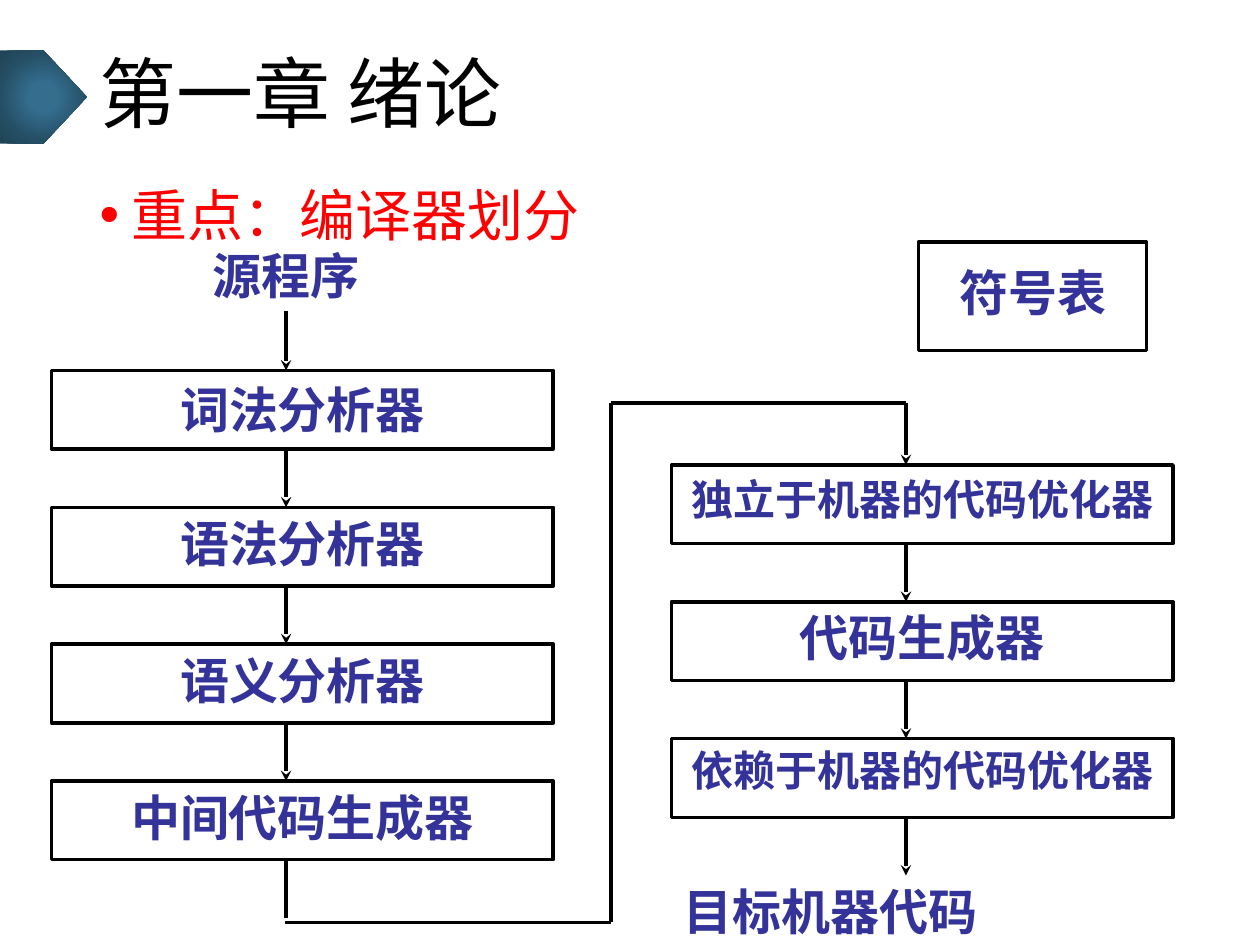
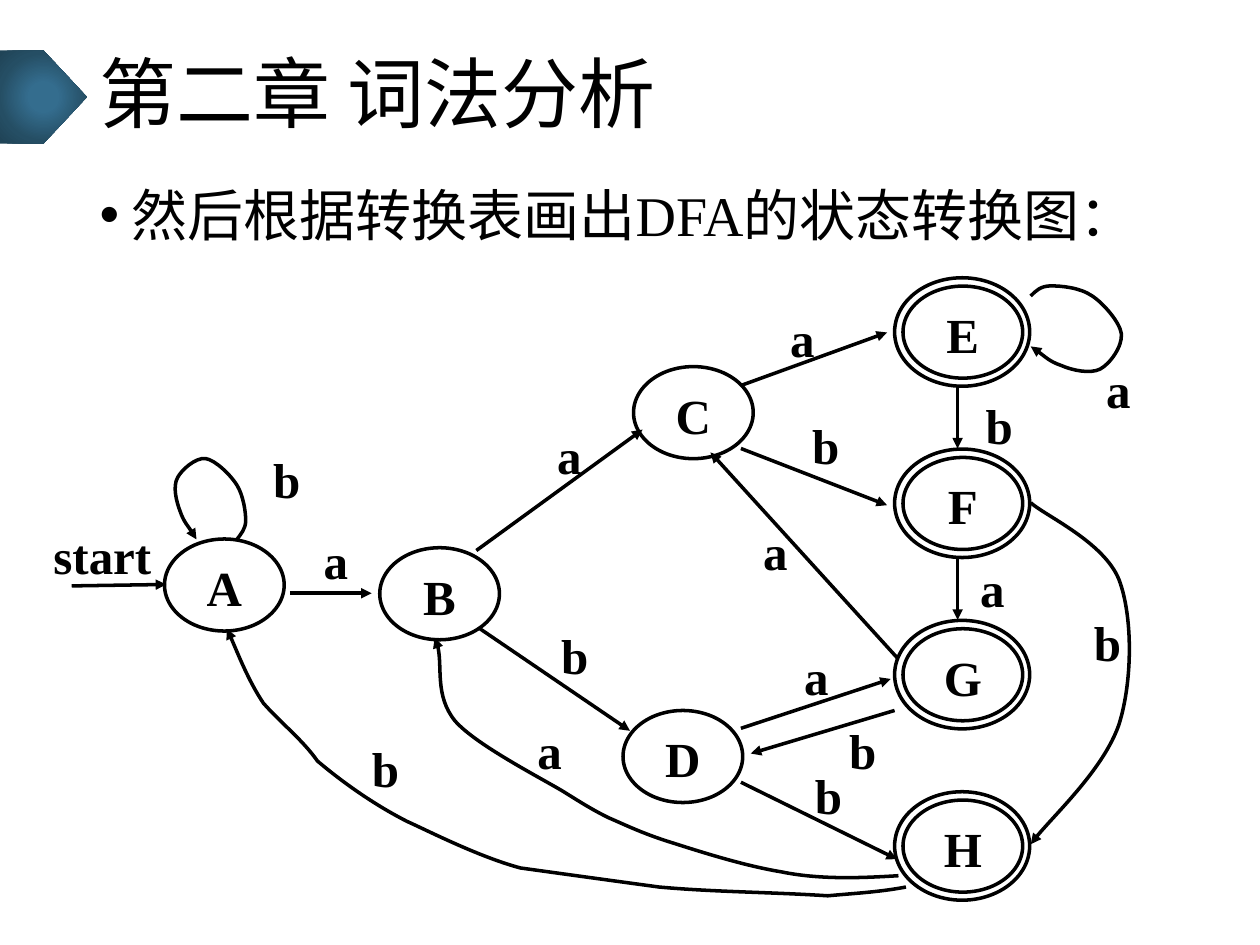
from itertools import pairwise

from lxml.etree import SubElement as Sub
from pptx import Presentation
from pptx.dml.color import RGBColor
from pptx.enum.shapes import MSO_CONNECTOR as Link, MSO_SHAPE as Kind
from pptx.enum.text import MSO_ANCHOR as Anchor, MSO_AUTO_SIZE as Fit, PP_ALIGN as Align
from pptx.oxml.ns import qn
from pptx.util import Pt

INK = {"black": "000000", "red": "FF0000", "navy": "333399",
       "light": "346D8E", "mid": "254E64", "dark": "204457"}
FONT = "Times New Roman"
TITLE = (49.7, 18, 620.6, 75)
BODY = (49.7, 99.4, 620.6, 387)
BAND = (0, 28.8, 49.7, 53.3)


# Shared helpers
def rgb(name):
    return RGBColor.from_string(INK[name])


def place(shape, box):
    shape.left, shape.top, shape.width, shape.height = map(Pt, box)


def style(para, size, color, bold=False, font=FONT):
    for run in para.runs:
        run.font.size, run.font.bold, run.font.name = Pt(size), bold, font
        run.font.color.rgb = rgb(color)


def write(shape, text, size, color, pad=(7.2, 3.6), align=Align.CENTER, font=FONT):
    frame = shape.text_frame
    frame.word_wrap, frame.vertical_anchor = True, Anchor.TOP
    frame.margin_left = frame.margin_right = Pt(pad[0])
    frame.margin_top, frame.margin_bottom = Pt(pad[1]), Pt(3.6)
    frame.text = text
    para = frame.paragraphs[0]
    para.alignment = align
    style(para, size, color, True, font)


def note(slide, box, *text, **opts):
    write(slide.shapes.add_textbox(*map(Pt, box)), *text, **opts)


def ink(shape, head=None):
    shape.line.color.rgb = rgb("black")
    shape.line.width = Pt(2)
    if head:
        Sub(shape.line._get_or_add_ln(), qn("a:tailEnd"), type=head)


def frame(slide, kind, box):
    shape = slide.shapes.add_shape(kind, *map(Pt, box))
    shape.shadow.inherit = False
    shape.fill.background()
    ink(shape)
    return shape


def line(slide, start, end, head=None):
    edge = slide.shapes.add_connector(Link.STRAIGHT, *map(Pt, (*start, *end)))
    ink(edge, head)
    Sub(edge._element.spPr, qn("a:effectLst"))


def curve(slide, points, head):
    """Bezier curve: a start, then two controls and an end for each part."""
    first, *rest = [(Pt(x), Pt(y)) for x, y in points]
    maker = slide.shapes.build_freeform(*first)
    maker.add_line_segments(rest, close=False)
    shape = maker.convert_to_shape()
    shape.shadow.inherit = False
    shape.fill.background()
    ink(shape, head)
    parts = list(shape._element.iter(qn("a:lnTo")))
    track = parts[0].getparent()
    for i in range(0, len(parts), 3):
        bend = Sub(track, qn("a:cubicBezTo"))
        for part in parts[i:i + 3]:
            bend.append(part[0])
            track.remove(part)


# Layout: band, title and body places
def set_up(deck):
    layout = deck.slide_layouts[1]
    place(layout.placeholders[0], TITLE)
    place(layout.placeholders[1], BODY)
    return layout


def band(slide, box):
    """Draw the pentagon and hand it to the layout, behind its text."""
    shape = slide.shapes.add_shape(Kind.PENTAGON, *map(Pt, box))
    shape.shadow.inherit = False
    shape.line.fill.background()
    shape.fill.gradient()
    grad = shape._element.spPr.find(qn("a:gradFill"))
    for child in list(grad):
        grad.remove(child)
    stops = Sub(grad, qn("a:gsLst"))
    for pos, name in ((0, "light"), (23, "light"), (69, "mid"), (97, "dark")):
        stop = Sub(stops, qn("a:gs"), pos=str(pos * 1000))
        Sub(stop, qn("a:srgbClr"), val=INK[name])
    round_ = Sub(grad, qn("a:path"), path="circle")
    Sub(round_, qn("a:fillToRect"), **dict.fromkeys("ltrb", "50000"))
    slide.slide_layout.shapes._spTree.insert(2, shape._element)


def page(deck, layout, title, point, color):
    slide = deck.slides.add_slide(layout)
    head, body = slide.placeholders[0].text_frame, slide.placeholders[1].text_frame
    head.text, body.text = title, point
    head.vertical_anchor = Anchor.MIDDLE
    head.auto_size = body.auto_size = Fit.NONE
    top, item = head.paragraphs[0], body.paragraphs[0]
    top.alignment, top.line_spacing = Align.LEFT, 0.9
    style(top, 44, "black")
    item.space_before = Pt(10)
    props = item._p.get_or_add_pPr()
    props.set("marL", str(Pt(18)))
    props.set("indent", str(Pt(-18)))
    Sub(props, qn("a:buChar"), char="•")
    style(item, 32, color)
    return slide


# Compiler phases
STEP, TALL, STEM = 78.2, 45, 134


def column(slide, box, phases, last):
    """Stack of phases, each with a line below it; last is the final head."""
    x, y, wide = box
    for i, (text, size, pad, font) in enumerate(phases):
        top = y + i * STEP
        shape = frame(slide, Kind.RECTANGLE, (x, top, wide, TALL))
        write(shape, text, size, "navy", (7.2, pad), font=font)
        head = "stealth" if i < len(phases) - 1 else last
        line(slide, (x + STEM, top + TALL), (x + STEM, top + STEP), head)


def phases(slide, box):
    x, y, wide = box
    right, low = x + 354.2, y + 54
    stem, drop = x + STEM, right + STEM
    note(slide, (x + 85, y - 75, 124, 45), "源程序", 28, "navy", align=Align.LEFT)
    line(slide, (stem, y - 34), (stem, y), "stealth")
    column(slide, box, [("词法分析器", 28, 5, FONT), ("语法分析器", 28, 3.6, FONT),
                        ("语义分析器", 28, 3.6, FONT), ("中间代码生成器", 28, 3.6, FONT)], None)
    column(slide, (right, low, wide),
           [("独立于机器的代码优化器", 24, 5, FONT), ("代码生成器", 28, 3.6, FONT),
            ("依赖于机器的代码优化器", 24, 3.6, "Karla")], "stealth")
    note(slide, (right, low + 3 * STEP, wide, 39.6), "目标机器代码", 28, "navy",
         align=Align.LEFT)
    # Route from the left column to the right one
    mid, base, roof = x + 319.7, y + 315.4, low - 35.3
    route = [(stem - 0.7, base), (mid, base), (mid, roof), (drop, roof)]
    for start, end in pairwise(route):
        line(slide, start, end)
    line(slide, (drop, roof), (drop, low), "stealth")
    table = frame(slide, Kind.RECTANGLE, (x + 495.4, y - 73.4, 130.3, 62))
    write(table, "符号表", 28, "navy", (7.2, 11.5))


# State graph: all places are relative to the box of the graph
STATES = {"A": (77, 150), "B": (200, 155), "C": (345, 51.5), "D": (339, 248)}
FINALS = {name: (499, 5.5 + 97.9 * i) for i, name in enumerate("EFGH")}
EDGES = [
    ((24, 176.8), (78, 176)), ((148.6, 181), (195.4, 181)),
    ((255.2, 156.6), (350.2, 87.5)), ((257.3, 201.3), (343, 259.6)),
    ((406.4, 62.3), (489.9, 32)), ((406.4, 258.2), (492, 230)),
    ((406.4, 98.3), (489.9, 130.7)), ((406.4, 289), (495.6, 333)),
    ((530.2, 62.3), (530.2, 98.3)), ((530.2, 160.2), (530.2, 196.2)),
    ((495.6, 217.8), (389, 100.5)), ((494.2, 248), (412, 272.6)),
]
LABELS = [  # text, left, top, width
    ("start", 0, 141.5, 83), ("a", 154.4, 144.4, 41), ("a", 281.8, 84.6, 53),
    ("b", 294, 199, 35), ("a", 415, 17.7, 53), ("a", 423, 210.6, 53),
    ("b", 434.4, 78.9, 41), ("b", 438, 279, 37), ("a", 608, 46.5, 26),
    ("b", 123.4, 98.3, 47), ("b", 536, 67.4, 36), ("a", 536, 160.2, 26),
    ("b", 597.9, 191.2, 36), ("a", 412, 139.4, 26), ("b", 458, 253, 36),
    ("a", 283, 253, 26), ("b", 185.3, 263.2, 36),
]
CURVES = {
    "EE": [(572, 11.2), (574.8, 8.3), (577.7, 5.4), (583.5, 5.4), (589.2, 5.4),
           (600, 6.2), (607.2, 11.2), (613.7, 15.5), (623, 26.3), (623.8, 32.8),
           (624.5, 40), (617.3, 50), (611.6, 53), (605.8, 55.8), (595.7, 53.7),
           (589.2, 50.8), (582.8, 48.6), (574.8, 41.4), (572, 40)],
    "AA": [(118.4, 150.2), (120.5, 147.3), (123.4, 144.4), (123.4, 139.4),
           (123.4, 134.3), (122, 125), (118.4, 119.2), (114.8, 113.4),
           (106, 104.8), (100.4, 104), (94.6, 103.4), (86.7, 110.6),
           (84.5, 114.9), (81.6, 120), (83.8, 128.6), (86, 134.3),
           (88, 140), (93.9, 147.3), (95.3, 150.2)],
    "FH": [(572, 129.3), (579.9, 136.5), (613.7, 151.6), (622.4, 173.2),
           (630.3, 194), (630.3, 230.8), (622.4, 256), (613.7, 281.2),
           (579.9, 312.9), (572, 324.4)],
    "HB": [(496.4, 342.4), (474, 343.8), (451, 344.6), (429.4, 340.2),
           (407.8, 336.6), (383.3, 328.7), (367.5, 323.7), (350.9, 318.6),
           (340.8, 313.6), (330.8, 309.3), (322, 305), (315, 300.6),
           (307, 295.6), (296.9, 289), (255.2, 268.2), (242.9, 253.8),
           (231.4, 239.4), (237.2, 217.8), (231.4, 206.3)],
    "HA": [(500.7, 348.9), (485.6, 351.8), (471.2, 352.5), (456, 353.9),
           (423.6, 351.8), (391.2, 351.8), (359.6, 348.9), (333, 345.3),
           (307, 341.7), (280.4, 338), (256.6, 331.6), (228.5, 317.2),
           (215.6, 311.4), (196, 301.4), (178, 288.4), (164.4, 276.9),
           (155.8, 264.6), (143.6, 255.3), (133.5, 243.8), (124.8, 230.8),
           (116.2, 208.5), (112.6, 201.3)],
}


def graph(slide, box):
    def at(point):
        return box[0] + point[0], box[1] + point[1]

    for name, spot in (STATES | FINALS).items():
        x, y = at(spot)
        node = frame(slide, Kind.OVAL, (x, y, 68.4, 52.6))
        write(node, name, 28, "black", (1.4, 2.9))
        if name in FINALS:
            frame(slide, Kind.OVAL, (x - 4.8, y - 4.8, 77.2, 62))
    for start, end in EDGES:
        line(slide, at(start), at(end), "triangle")
    for points in CURVES.values():
        curve(slide, map(at, points), "triangle")
    for text, x, y, wide in LABELS:
        note(slide, (*at((x, y)), wide, 29.5), text, 28, "black", pad=(7.2, 0.7))


def main():
    deck = Presentation()
    deck.slide_width, deck.slide_height = Pt(720), Pt(540)
    layout = set_up(deck)
    first = page(deck, layout, "第一章 绪论", "重点：编译器划分", "red")
    band(first, BAND)
    phases(first, (29.5, 211.7, 286.6))
    second = page(deck, layout, "第二章 词法分析",
                  "然后根据转换表画出DFA的状态转换图：", "black")
    graph(second, (17, 158))
    deck.save("out.pptx")


if __name__ == "__main__":
    main()
